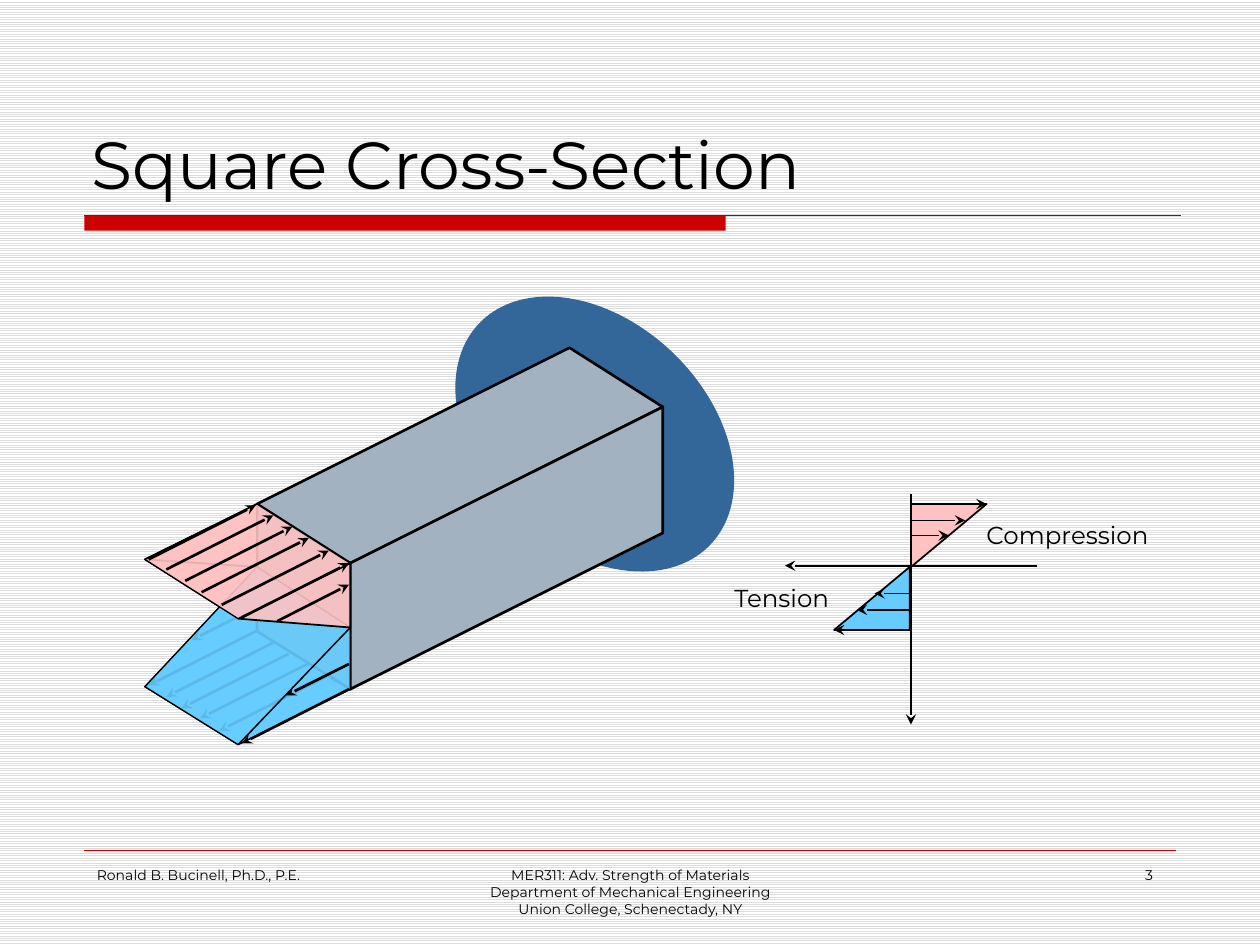
from dataclasses import dataclass

from lxml.etree import SubElement
from pptx import Presentation
from pptx.dml.color import RGBColor
from pptx.enum.dml import MSO_PATTERN
from pptx.enum.shapes import MSO_CONNECTOR, MSO_SHAPE
from pptx.enum.text import MSO_ANCHOR, PP_ALIGN
from pptx.oxml.ns import qn
from pptx.util import Inches, Pt


@dataclass(frozen=True)
class Theme:
    font: str = "Montserrat"
    ink: str = "000000"
    accent: str = "CC0000"
    rule: str = "333333"
    paper: str = "FFFFFF"
    stripe: str = "DDDDDD"
    wall: str = "336699"
    beam: str = "A3B2C1"
    tension: str = "66CCFF"
    compression: str = "FFC2C2"
    title_size: int = 38
    label_size: int = 14
    footer_size: int = 8


class Board:
    """Draws on one slide; lengths are cells of a 1000-column, 750-row grid."""

    def __init__(self, slide, theme, cell):
        self.slide, self.theme, self.cell = slide, theme, cell

    def span(self, *cells):
        return [round(count * self.cell) for count in cells]

    def background(self):
        fill = self.slide.background.fill
        fill.patterned()
        fill.pattern = MSO_PATTERN.LIGHT_HORIZONTAL
        fill.fore_color.rgb = RGBColor.from_string(self.theme.stripe)
        fill.back_color.rgb = RGBColor.from_string(self.theme.paper)

    def paint(self, shape, color, weight, alpha=100):
        """Fill and outline a shape; a weight of 0 means no outline."""
        shape.shadow.inherit = False
        shape.fill.solid()
        shape.fill.fore_color.rgb = RGBColor.from_string(color)
        if alpha < 100:
            fill_color = shape._element.spPr.find(".//" + qn("a:srgbClr"))
            SubElement(fill_color, qn("a:alpha"), val=str(alpha * 1000))
        if weight:
            shape.line.color.rgb = RGBColor.from_string(self.theme.ink)
            shape.line.width = Pt(weight)
        else:
            shape.line.fill.background()

    def shape(self, kind, box, color, weight=0, rotation=0, adjust=None):
        shape = self.slide.shapes.add_shape(kind, *self.span(*box))
        shape.rotation = rotation
        if adjust is not None:
            shape.adjustments[0] = adjust
        self.paint(shape, color, weight)

    def face(self, corners, color, weight=1.5, alpha=100):
        builder = self.slide.shapes.build_freeform(*corners[0], scale=self.cell)
        builder.add_line_segments(corners[1:], close=True)
        self.paint(builder.convert_to_shape(), color, weight, alpha)

    def line(self, start, end, weight, color=None, arrow=False):
        connector = self.slide.shapes.add_connector(
            MSO_CONNECTOR.STRAIGHT, *self.span(*start, *end))
        connector.line.color.rgb = RGBColor.from_string(color or self.theme.ink)
        connector.line.width = Pt(weight)
        properties = connector._element.spPr
        if arrow:
            SubElement(properties.find(qn("a:ln")), qn("a:tailEnd"), type="stealth")
        SubElement(properties, qn("a:effectLst"))

    def text(self, wording, box, size, align=PP_ALIGN.LEFT,
             anchor=MSO_ANCHOR.TOP, wrap=True):
        frame = self.slide.shapes.add_textbox(*self.span(*box)).text_frame
        frame.word_wrap = wrap
        frame.vertical_anchor = anchor
        frame.text = wording
        for paragraph in frame.paragraphs:
            paragraph.alignment = align
            for run in paragraph.runs:
                run.font.name = self.theme.font
                run.font.size = Pt(size)
                run.font.color.rgb = RGBColor.from_string(self.theme.ink)


def shifted(point, offset):
    return point[0] + offset[0], point[1] + offset[1]


def draw_frame(board):
    theme = board.theme
    board.background()
    board.shape(MSO_SHAPE.RECTANGLE, (67, 171, 509, 12), theme.accent)
    board.line((67, 171), (937, 171), 0.75, theme.rule)
    board.line((67, 675), (933, 675), 0.25, theme.accent)
    board.text("Square Cross-Section", (63, 33, 875, 133), theme.title_size,
               anchor=MSO_ANCHOR.BOTTOM)
    course = ("MER311: Adv. Strength of Materials\n"
              "Department of Mechanical Engineering\n"
              "Union College, Schenectady, NY")
    for wording, left, width, align in (
            ("Ronald B. Bucinell, Ph.D., P.E.", 67, 208, PP_ALIGN.LEFT),
            (course, 342, 317, PP_ALIGN.CENTER),
            ("3", 717, 208, PP_ALIGN.RIGHT)):
        board.text(wording, (left, 683, width, 50), theme.footer_size, align)


def draw_beam(board):
    """Draw the cantilever with the stress wedges on its free end."""
    theme = board.theme
    depth, pull, stroke = (248, -124), (-89, 44), (85, -43)
    top_left, mid_left, low_left = (204, 400), (204, 450), (204, 501)
    top_right, mid_right, low_right = (278, 447), (278, 498), (278, 547)
    top_tips = [shifted(corner, pull) for corner in (top_left, top_right)]
    low_tips = [shifted(corner, pull) for corner in (low_left, low_right)]

    def stress(color, *corners, weight=0.75):
        board.face(corners, color, weight, alpha=90)

    def push(start):
        board.line(start, shifted(start, stroke), 1.5, arrow=True)

    def pull_out(tip):
        board.line(shifted(tip, stroke), tip, 1.5, arrow=True)

    board.shape(MSO_SHAPE.OVAL, (345, 255, 254, 179), theme.wall, rotation=43.8)

    stress(theme.tension, mid_left, low_left, low_tips[0])
    board.line((202, 483), (152, 508), 1.5, arrow=True)
    stress(theme.tension, *low_tips, low_right, low_left)
    for tip in ((118, 544), (132, 553), (144, 562), (159, 570), (174, 580)):
        pull_out(tip)

    board.face([low_right, low_left, top_left, top_right], theme.beam)
    board.face([top_right, top_left, shifted(top_left, depth),
                shifted(top_right, depth)], theme.beam)
    stress(theme.compression, mid_right, top_tips[1], top_tips[0], mid_left)
    board.face([low_right, top_right, shifted(top_right, depth),
                shifted(low_right, depth)], theme.beam)

    stress(theme.compression, mid_left, top_tips[0], top_left, weight=1)
    stress(theme.tension, low_tips[1], low_right, mid_right)
    stress(theme.tension, low_tips[0], mid_left, mid_right, low_tips[1])
    stress(theme.compression, mid_right, top_tips[1], top_right, weight=1)
    stress(theme.compression, top_tips[0], top_left, top_right, top_tips[1])

    pull_out((192, 590))
    for start in ((118, 444), (132, 452), (147, 461), (160, 470),
                  (176, 480), (192, 490)):
        push(start)
    board.line((220, 493), (277, 464), 1.5, arrow=True)
    board.line((277, 527), (227, 552), 1.5, arrow=True)


def draw_stress_plot(board):
    theme = board.theme
    axis = 723
    board.line((axis, 392), (axis, 575), 1, arrow=True)
    board.shape(MSO_SHAPE.ISOSCELES_TRIANGLE, (662, 450, 60, 50),
                theme.tension, 1, adjust=1)
    board.shape(MSO_SHAPE.ISOSCELES_TRIANGLE, (axis, 400, 60, 50),
                theme.compression, 1, rotation=180, adjust=1)
    board.line((823, 449), (623, 449), 1, arrow=True)
    for row, reach in ((500, -61), (471, -29), (484, -43),
                       (400, 60), (425, 30), (413, 43)):
        board.line((axis, row), (axis + reach, row), 1, arrow=True)
    for wording, box in (("Compression", (773, 408, 160, 34)),
                         ("Tension", (573, 458, 104, 34))):
        board.text(wording, box, theme.label_size, wrap=False)


def main():
    deck = Presentation()
    deck.slide_width, deck.slide_height = Inches(10), Inches(7.5)
    slide = deck.slides.add_slide(deck.slide_layouts[6])
    board = Board(slide, Theme(), deck.slide_width / 1000)
    draw_frame(board)
    draw_beam(board)
    draw_stress_plot(board)
    deck.save("out.pptx")


if __name__ == "__main__":
    main()
